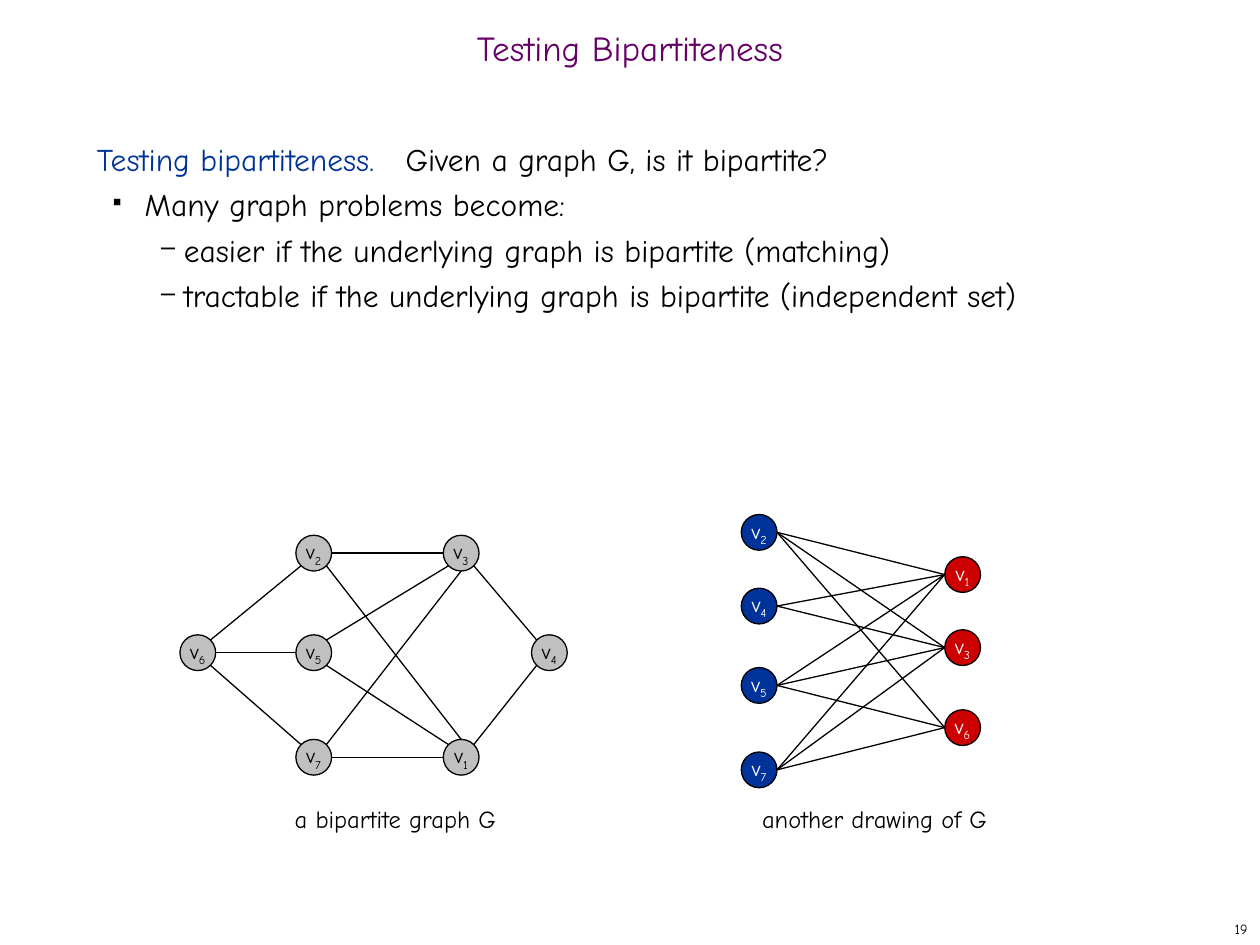
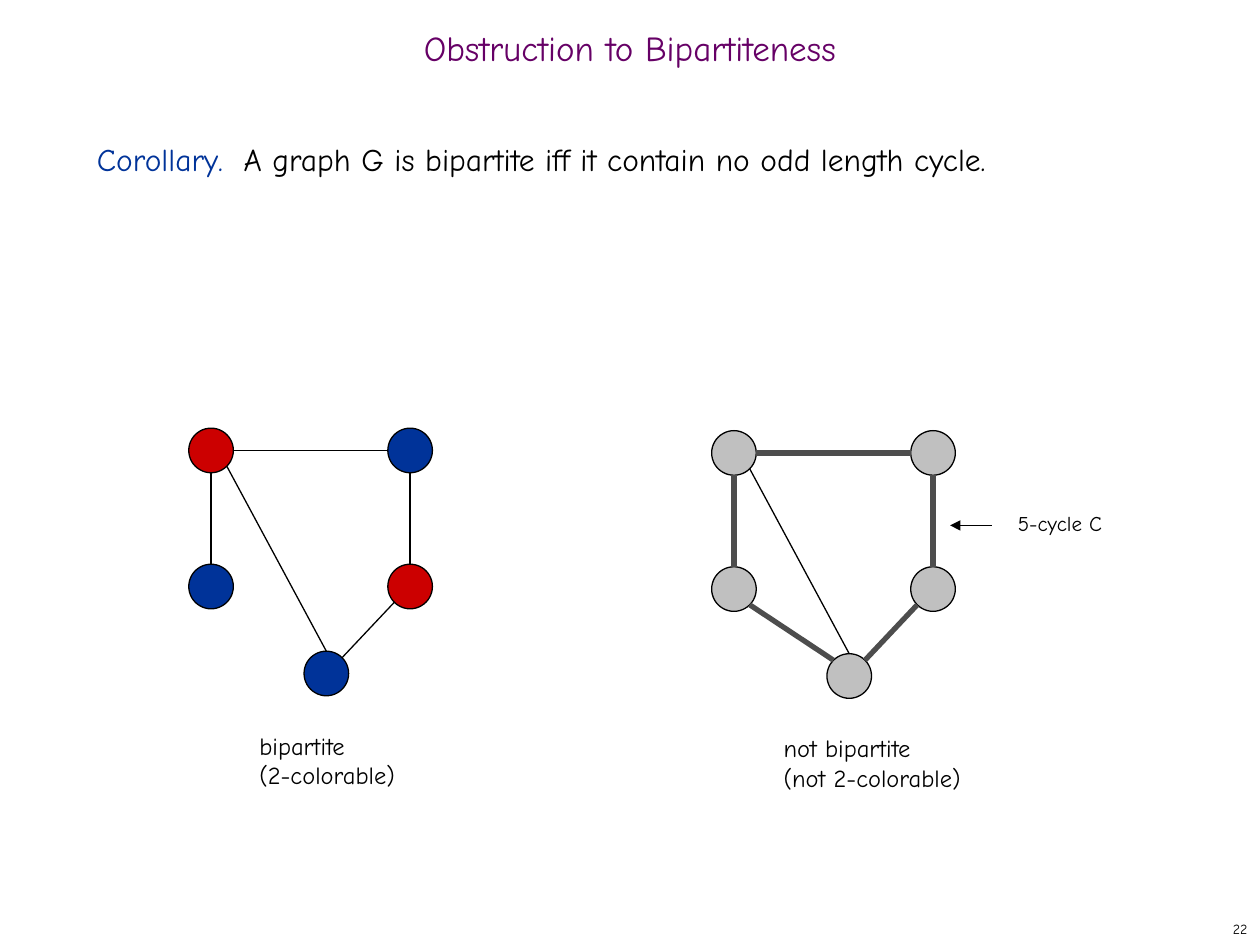
from dataclasses import dataclass
from itertools import product
from math import sqrt

from lxml import etree
from pptx import Presentation
from pptx import util as u
from pptx.dml.color import RGBColor
from pptx.enum import shapes, text
from pptx.oxml.ns import qn


@dataclass(frozen=True)
class Theme:
    face: str = "Comic Neue"
    ink: str = "000000"
    paper: str = "FFFFFF"
    plum: str = "660066"
    blue: str = "003399"
    red: str = "CC0000"
    grey: str = "C0C0C0"
    dark: str = "4D4D4D"
    head: int = 20
    body: int = 18
    note: int = 14
    small: int = 12
    page: int = 8
    thin: float = 0.75
    bold: float = 3


T = Theme()
WIDE, HIGH = u.Inches(10), u.Inches(7.5)
COLS, ROWS = 100, 75

LEFT, MID, RIGHT = text.PP_ALIGN.LEFT, text.PP_ALIGN.CENTER, text.PP_ALIGN.RIGHT
FRAME = {"margin_left": u.Inches(0.1), "margin_right": u.Inches(0.1),
         "margin_top": u.Inches(0.05), "margin_bottom": u.Inches(0.05),
         "auto_size": text.MSO_AUTO_SIZE.NONE}
CENTRED = {"vertical_anchor": text.MSO_ANCHOR.MIDDLE}

DIAG = sqrt(0.5)
SITES = {"N": (0, -1), "NE": (DIAG, -DIAG), "E": (1, 0), "SE": (DIAG, DIAG),
         "S": (0, 1), "SW": (-DIAG, DIAG), "W": (-1, 0), "NW": (-DIAG, -DIAG)}

# Level: left indent, hanging indent, bullet, bullet size in percent
BULLETS = {1: (0.38, -0.25, "■", 35), 2: (0.69, -0.18, "–", 80)}


def col(n):
    return round(WIDE * n / COLS)


def row(n):
    return round(HIGH * n / ROWS)


def put(item, *formats):
    for form in formats:
        for key, value in form.items():
            setattr(item, key, value)


def sub(parent, tag, **attrs):
    node = etree.SubElement(parent, qn(tag))
    for key, value in attrs.items():
        node.set(key, str(value))
    return node


def write(para, words, size, tint=T.ink):
    run = para.add_run()
    put(run, {"text": words})
    put(run.font, {"name": T.face, "size": u.Pt(size)})
    run.font.color.rgb = RGBColor.from_string(tint)
    return run


def label(slide, box, words, size, align=LEFT, form=None):
    """Place unwrapped text, one paragraph a line."""
    x, y, w, h = box
    frame = slide.shapes.add_textbox(col(x), row(y), col(w), row(h)).text_frame
    put(frame, FRAME, {"word_wrap": False}, form or {})
    for i, line in enumerate(words.split("\n")):
        para = frame.add_paragraph() if i else frame.paragraphs[0]
        para.alignment = align
        write(para, line, size)


def start(deck, title, page):
    """Add a slide with its title and page number."""
    slide = deck.slides.add_slide(deck.slide_layouts[5])
    head = slide.shapes.title
    put(head, {"left": 0, "top": row(1.7), "width": WIDE, "height": row(5)})
    put(head.text_frame, FRAME, CENTRED, {"word_wrap": True})
    para = head.text_frame.paragraphs[0]
    put(para, {"alignment": MID, "line_spacing": 0.7})
    write(para, title, T.head, T.plum)
    label(slide, (79.2, 72.5, 20.8, 2.5), str(page), T.page, RIGHT, CENTRED)
    return slide


def bullet(para, level):
    left, hang, mark, size = BULLETS[level]
    props = para._p.get_or_add_pPr()
    props.set("marL", str(u.Inches(left)))
    props.set("indent", str(u.Inches(hang)))
    sub(sub(props, "a:buClr"), "a:srgbClr", val=T.ink)
    sub(props, "a:buSzPct", val=size * 1000)
    sub(props, "a:buChar", char=mark)


def body(slide, term, stop, claim, points=()):
    """Write a coloured term, its claim at a tab stop, then bullets."""
    box = slide.shapes.add_textbox(col(6.7), row(10), col(85.8), row(59.2))
    frame = box.text_frame
    put(frame, FRAME, {"word_wrap": True})
    para = frame.paragraphs[0]
    para.line_spacing = u.Pt(26)
    tabs = sub(para._p.get_or_add_pPr(), "a:tabLst")
    sub(tabs, "a:tab", pos=col(stop), algn="l")
    write(para, term, T.body, T.blue)
    write(para, "\t" + claim, T.body)
    for level, words in points:
        para = frame.add_paragraph()
        put(para, {"level": level, "line_spacing": u.Pt(26)})
        bullet(para, level)
        write(para, words, T.body)


def link(slide, tail, tip, tint=T.ink, width=T.thin, arrow=False):
    line = slide.shapes.add_connector(
        shapes.MSO_CONNECTOR.STRAIGHT,
        col(tail[0]), row(tail[1]), col(tip[0]), row(tip[1]))
    line.line.width = u.Pt(width)
    line.line.color.rgb = RGBColor.from_string(tint)
    if arrow:
        sub(line.line._get_or_add_ln(), "a:tailEnd", type="triangle")
    sub(line._element.spPr, "a:effectLst")


@dataclass
class Node:
    """A circle of the graph, with its centre in grid units."""
    x: float
    y: float
    rad: float
    fill: str = T.grey
    ink: str = T.ink
    num: str = ""

    def site(self, name):
        dx, dy = SITES[name]
        return self.x + dx * self.rad, self.y + dy * self.rad

    def draw(self, slide):
        size = 2 * self.rad
        disc = slide.shapes.add_shape(
            shapes.MSO_SHAPE.OVAL, col(self.x - self.rad),
            row(self.y - self.rad), col(size), row(size))
        disc.shadow.inherit = False
        disc.fill.solid()
        disc.fill.fore_color.rgb = RGBColor.from_string(self.fill)
        disc.line.color.rgb = RGBColor.from_string(T.ink)
        disc.line.width = u.Pt(T.thin)
        if self.num:
            put(disc.text_frame, FRAME, CENTRED, {"word_wrap": False})
            para = disc.text_frame.paragraphs[0]
            para.alignment = MID
            write(para, "v", T.small, self.ink)
            low = write(para, self.num, T.small, self.ink)
            low._r.get_or_add_rPr().set("baseline", "-25000")


def graph(slide, nodes, edges, tint=T.ink, width=T.thin):
    """Draw nodes, then edges such as "2.SW 6.NE"."""
    for node in nodes.values():
        node.draw(slide)
    for edge in edges:
        ends = [end.split(".") for end in edge.split()]
        link(slide, *(nodes[key].site(side) for key, side in ends),
             tint=tint, width=width)


def mesh(slide):
    """Draw the seven uncoloured vertices."""
    xs, ys = (15.7, 24.9, 36.6, 43.6), (43.9, 51.8, 60.1)
    spots = {"1": (2, 2), "2": (1, 0), "3": (2, 0), "4": (3, 1),
             "5": (1, 1), "6": (0, 1), "7": (1, 2)}
    nodes = {num: Node(xs[i], ys[j], 1.42, num=num)
             for num, (i, j) in spots.items()}
    graph(slide, nodes, (
        "2.SW 6.NE", "2.E 3.W", "3.SE 4.NW", "1.NE 4.SW", "1.NW 5.SE",
        "1.W 7.E", "6.SE 7.NW", "5.W 6.E", "3.SW 5.NE", "3.S 7.NE",
        "1.N 2.SE"))


def sides(slide):
    """Draw the same vertices as a blue and a red column."""
    blue = {"2": 42.25, "4": 48.1, "5": 54.4, "7": 61.1}
    red = {"1": 45.6, "3": 51.4, "6": 57.75}
    nodes = {num: Node(x, y, 1.42, fill, T.paper, num)
             for x, fill, part in ((60.25, T.blue, blue), (76.4, T.red, red))
             for num, y in part.items()}
    graph(slide, nodes, [f"{a}.E {b}.W" for a, b in product(blue, red)
                         if (a, b) != ("4", "6")])


def house(slide, x, y, fills, ring, extra=(), tint=T.ink, width=T.thin):
    """Draw five vertices, the ring edges in one style and a thin diagonal."""
    spots = {"a": (0, 0), "b": (15.8, 0), "c": (0, 10.8),
             "d": (15.8, 10.8), "e": (9.15, 17.7)}
    nodes = {key: Node(x + dx, y + dy, 1.77, fill)
             for (key, (dx, dy)), fill in zip(spots.items(), fills)}
    graph(slide, nodes, ring + tuple(extra), tint, width)
    link(slide, nodes["e"].site("N"), nodes["a"].site("SE"))


def main():
    deck = Presentation()
    put(deck, {"slide_width": WIDE, "slide_height": HIGH})

    test = start(deck, "Testing Bipartiteness", 19)
    body(test, "Testing bipartiteness.", 24.5,
         "Given a graph G, is it bipartite?", (
             (1, "Many graph problems become:"),
             (2, "easier if the underlying graph is bipartite (matching)"),
             (2, "tractable if the underlying graph is bipartite "
                 "(independent set)")))
    mesh(test)
    sides(test)
    label(test, (22.4, 63.3, 18.1, 3.3), "a bipartite graph G", T.note)
    label(test, (59.5, 63.3, 20, 3.3), "another drawing of G", T.note)

    block = start(deck, "Obstruction to Bipartiteness", 22)
    body(block, "Corollary.", 11.65,
         "A graph G is bipartite iff it contain no odd length cycle.")
    ring = ("a.E b.W", "d.N b.S", "c.N a.S", "e.NE d.SW")
    house(block, 58.25, 35.95, [T.grey] * 5, ring, ["c.SE e.NW"],
          T.dark, T.bold)
    house(block, 16.75, 35.75, (T.red, T.blue, T.blue, T.red, T.blue), ring)
    link(block, (78.7, 41.7), (75.4, 41.7), arrow=True)
    label(block, (79.8, 40, 8.7, 3), "5-cycle C", T.small)
    label(block, (19.6, 57.5, 12.8, 5.7), "bipartite\n(2-colorable)", T.note)
    label(block, (61.2, 57.7, 16.2, 5.7),
          "not bipartite\n(not 2-colorable)", T.note)

    deck.save("out.pptx")


if __name__ == "__main__":
    main()
